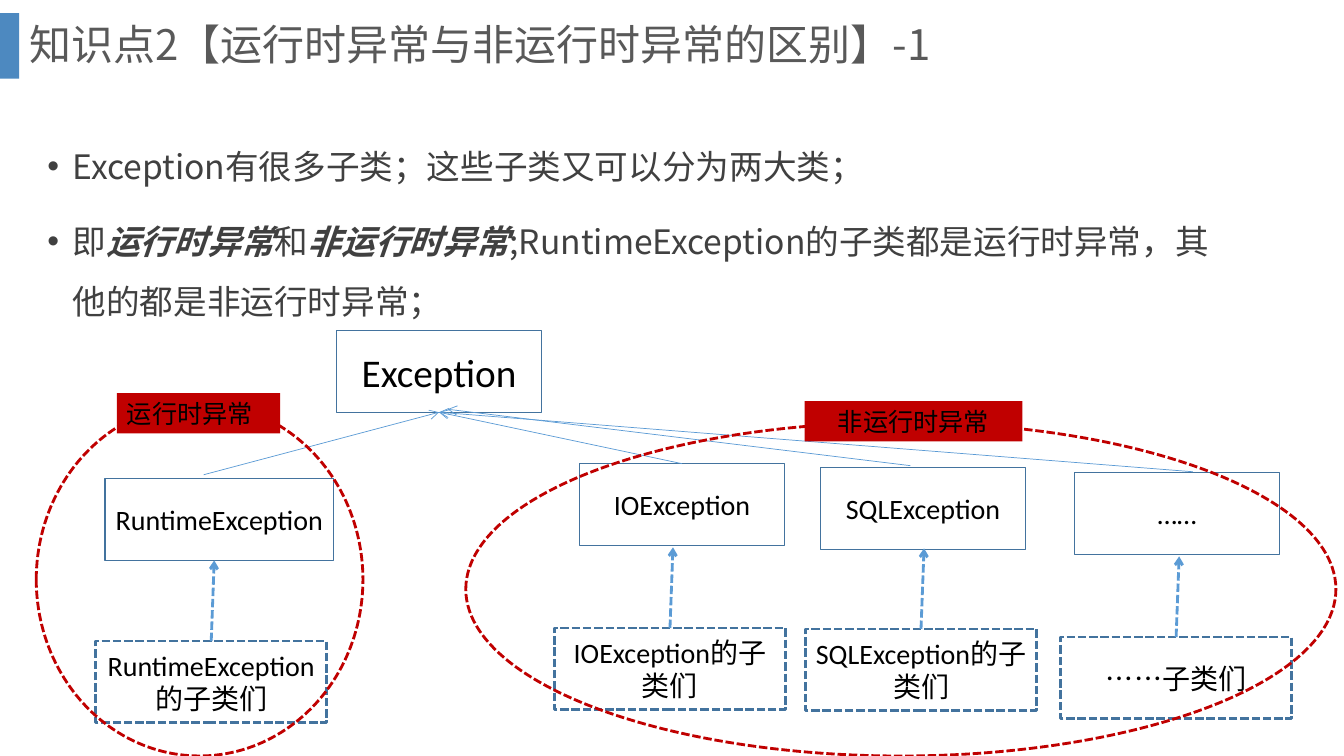
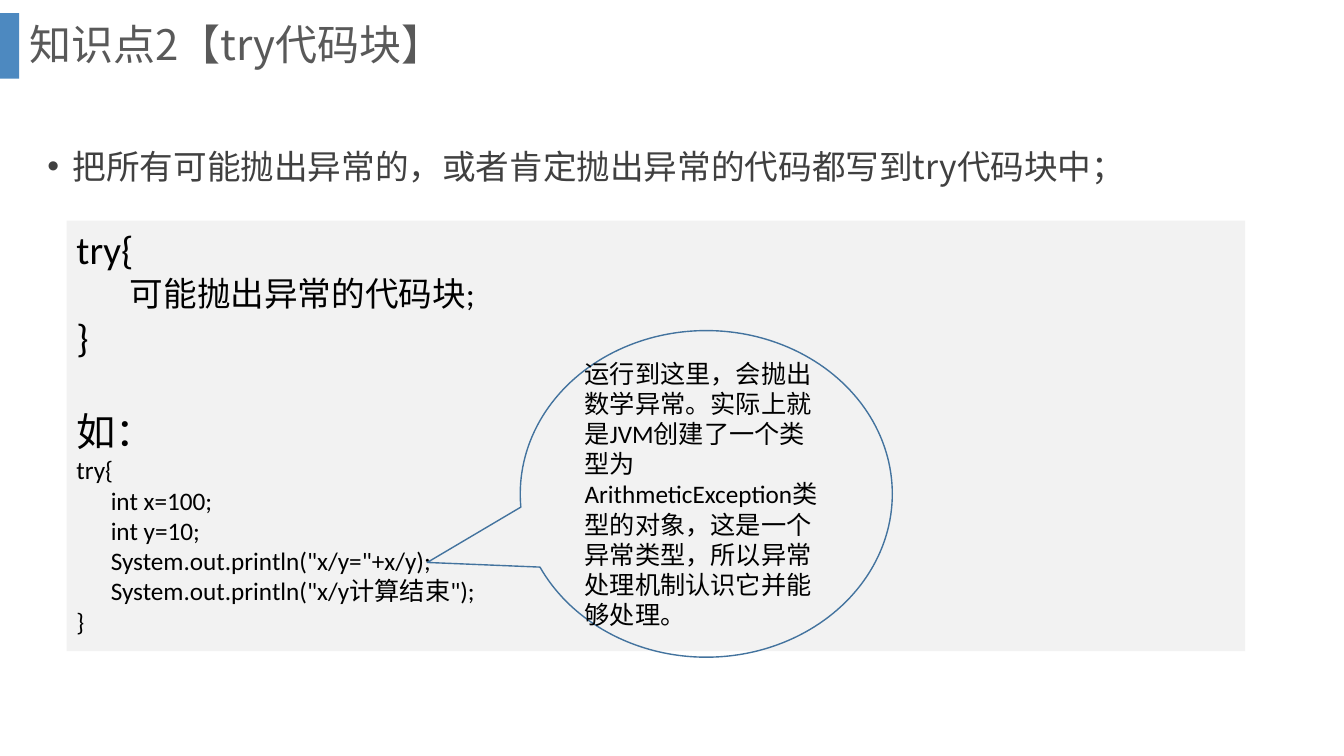
from lxml import etree
from pptx import Presentation
from pptx.dml.color import RGBColor
from pptx.enum.dml import MSO_LINE
from pptx.enum.shapes import MSO_CONNECTOR, MSO_SHAPE
from pptx.enum.text import MSO_ANCHOR, MSO_AUTO_SIZE, PP_ALIGN
from pptx.oxml.ns import qn
from pptx.util import Inches, Pt

RECT, OVAL = MSO_SHAPE.RECTANGLE, MSO_SHAPE.OVAL
BUBBLE = MSO_SHAPE.OVAL_CALLOUT
LEFT, CENTER = PP_ALIGN.LEFT, PP_ALIGN.CENTER
TOP, MIDDLE = MSO_ANCHOR.TOP, MSO_ANCHOR.MIDDLE
FIXED, GROW = MSO_AUTO_SIZE.NONE, MSO_AUTO_SIZE.SHAPE_TO_FIT_TEXT
DASH, STRAIGHT = MSO_LINE.SQUARE_DOT, MSO_CONNECTOR.STRAIGHT
HAN, LATIN = "Noto Sans CJK SC", "Calibri"
BLACK, GREY, DARK = "000000", "595959", "404040"
BAND, EDGE, ARROW, RED, PALE = "2E75B6", "43739E", "5B9BD5", "C00000", "F2F2F2"

TREE = {
    "title": "知识点2【运行时异常与非运行时异常的区别】-1",
    "height": 1.48,
    "points": [
        [("Exception有很多子类；这些子类又可以分为两大类；", False)],
        [("即", False), ("运行时异常", True), ("和", False), ("非运行时异常", True),
         (";RuntimeException的子类都是运行时异常，其他的都是非运行时异常；", False)],
    ],
}
ROOT = ("Exception", (3.34, 3.28, 2.03, 0.81))
KINDS = [
    ("RuntimeException", (1.04, 4.75, 2.27, 0.81), (0.95, 6.36), (2.02, 4.71), (4.36, 4.09)),
    ("IOException", (5.75, 4.6, 2.03, 0.81), (5.5, 6.23), None, (4.36, 4.09)),
    ("SQLException", (8.14, 4.64, 2.03, 0.81), (7.99, 6.24), (9.03, 4.62), (4.44, 4.06)),
    ("……", (10.66, 4.69, 2.03, 0.81), (10.52, 6.32), (11.83, 4.68), (4.36, 4.09)),
]
SUFFIX = {"……": "子类们"}
GROUPS = [
    ("运行时异常", (1.16, 3.9, 1.62, 0.4), LEFT, (0.36, 4, 3.24, 3.5)),
    ("非运行时异常", (7.98, 3.98, 2.16, 0.4), CENTER, (4.62, 4.19, 8.63, 3.31)),
]
TRY = {
    "title": "知识点2【try代码块】",
    "height": 1.03,
    "points": [[("把所有可能抛出异常的，或者肯定抛出异常的代码都写到try代码块中；", False)]],
}
CODE = [
    ("try{", 28, 0, 0),
    ("可能抛出异常的代码块;", 24, 0.53, 0),
    ("}", 28, 0, 0),
    ("如：", 28, 0, 34),
    ("try{", 18, 0, 0),
    ("int x=100;", 18, 0.34, 0),
    ("int y=10;", 18, 0.34, 0),
    ('System.out.println("x/y="+x/y);', 18, 0.34, 0),
    ('System.out.println("x/y计算结束");', 18, 0.34, 0),
    ("}", 18, 0, 0),
]
NOTE = ("运行到这里，会抛出数学异常。实际上就是JVM创建了一个类型为ArithmeticException"
        "类型的对象，这是一个异常类型，所以异常处理机制认识它并能够处理。")


def rgb(code):
    return RGBColor.from_string(code)


def place(shape, box):
    shape.left, shape.top, shape.width, shape.height = map(Inches, box)


def add_run(para, text, size, tint=BLACK, face=LATIN, strong=False):
    run = para.add_run()
    run.text = text
    font = run.font
    font.size, font.name = Pt(size), face
    font.bold = font.italic = strong
    font.color.rgb = rgb(tint)
    etree.SubElement(run._r.get_or_add_rPr(), qn("a:ea"), typeface=HAN)


def indent(para, left, first=0):
    props = para._p.get_or_add_pPr()
    props.set("marL", str(Inches(left)))
    props.set("indent", str(Inches(first)))
    return props


def set_frame(shape, anchor, fit=FIXED):
    frame = shape.text_frame
    frame.word_wrap = True
    frame.auto_size = fit
    frame.vertical_anchor = anchor
    return frame


def rows(frame, items):
    for i, item in enumerate(items):
        yield (frame.add_paragraph() if i else frame.paragraphs[0]), item


def add_box(slide, form, box, fill=None, edge=None, wide=1, dash=False):
    shape = slide.shapes.add_shape(form, *map(Inches, box))
    shape.shadow.inherit = False
    if fill:
        shape.fill.solid()
        shape.fill.fore_color.rgb = rgb(fill)
    else:
        shape.fill.background()
    if edge:
        shape.line.color.rgb = rgb(edge)
        shape.line.width = Pt(wide)
        if dash:
            shape.line.dash_style = DASH
    else:
        shape.line.fill.background()
    return shape


def label(shape, text, size, align=CENTER, anchor=MIDDLE, fit=FIXED):
    para = set_frame(shape, anchor, fit).paragraphs[0]
    para.alignment = align
    add_run(para, text, size)


def add_arrow(slide, start, end, wide, dash=False):
    link = slide.shapes.add_connector(STRAIGHT, *map(Inches, start + end))
    link.line.color.rgb = rgb(ARROW)
    link.line.width = Pt(wide)
    if dash:
        link.line.dash_style = DASH
    etree.SubElement(link.line._get_or_add_ln(), qn("a:tailEnd"), type="arrow")
    etree.SubElement(link._element.spPr, qn("a:effectLst"))
    return link


def add_page(deck, layout, page):
    slide = deck.slides.add_slide(layout)
    title, body = slide.placeholders
    place(title, (0.19, 0, 12.66, 0.93))
    para = set_frame(title, MIDDLE).paragraphs[0]
    para.alignment, para.line_spacing = LEFT, 0.9
    add_run(para, page["title"], 30, GREY, HAN)
    place(body, (0.37, 1.2, 12.05, page["height"]))
    for para, runs in rows(set_frame(body, TOP), page["points"]):
        para.line_spacing, para.space_before = 1.5, Pt(10)
        etree.SubElement(indent(para, 0.25, -0.25), qn("a:buChar"), char="•")
        for text, strong in runs:
            add_run(para, text, 24, DARK, HAN, strong)
    return slide


def add_band(slide, layout):
    band = add_box(slide, RECT, (0, 0.13, 0.19, 0.65), BAND)
    tint = band._element.spPr.find(".//" + qn("a:srgbClr"))
    etree.SubElement(tint, qn("a:alpha"), val="85000")
    layout.shapes.element.append(band.element)


def draw_tree(slide):
    name, box = ROOT
    root = add_box(slide, RECT, box, edge=EDGE)
    label(root, name, 28)
    base = (4.36, 4.09)
    for name, box, (x, y), start, end in KINDS:
        kind = add_box(slide, RECT, box, edge=EDGE)
        label(kind, name, 20)
        link = add_arrow(slide, start or (box[0] + box[2] / 2, box[1]), end, 0.5)
        if not start:
            link.begin_connect(kind, 0)
        if end == base:
            link.end_connect(root, 2)
        sub = add_box(slide, RECT, (x, y, 2.29, 0.81), edge=EDGE, wide=2, dash=True)
        label(sub, name + SUFFIX.get(name, "的子类们"), 20)
        mid = x + 2.29 / 2
        add_arrow(slide, (mid, y), (mid + 0.03, y - 0.8), 2, True).begin_connect(sub, 0)
    for name, box, align, ring in GROUPS:
        add_box(slide, OVAL, ring, edge=RED, wide=2, dash=True)
        label(add_box(slide, RECT, box, RED), name, 18, align, TOP, GROW)


def draw_code(slide):
    panel = add_box(slide, RECT, (0.66, 2.19, 11.69, 4.27), PALE)
    for para, (text, size, left, gap) in rows(set_frame(panel, TOP, GROW), CODE):
        para.alignment, para.space_before = LEFT, Pt(gap)
        indent(para, left)
        add_run(para, text, size)
    note = add_box(slide, BUBBLE, (5.16, 3.28, 3.69, 3.24), edge=EDGE)
    note.adjustments[0], note.adjustments[1] = -0.75, 0.21
    label(note, NOTE, 18, LEFT)


def main():
    deck = Presentation()
    deck.slide_width, deck.slide_height = Inches(13.33), Inches(7.5)
    layout = deck.slide_layouts[1]
    tree = add_page(deck, layout, TREE)
    add_band(tree, layout)
    draw_tree(tree)
    draw_code(add_page(deck, layout, TRY))
    deck.save("out.pptx")


if __name__ == "__main__":
    main()
